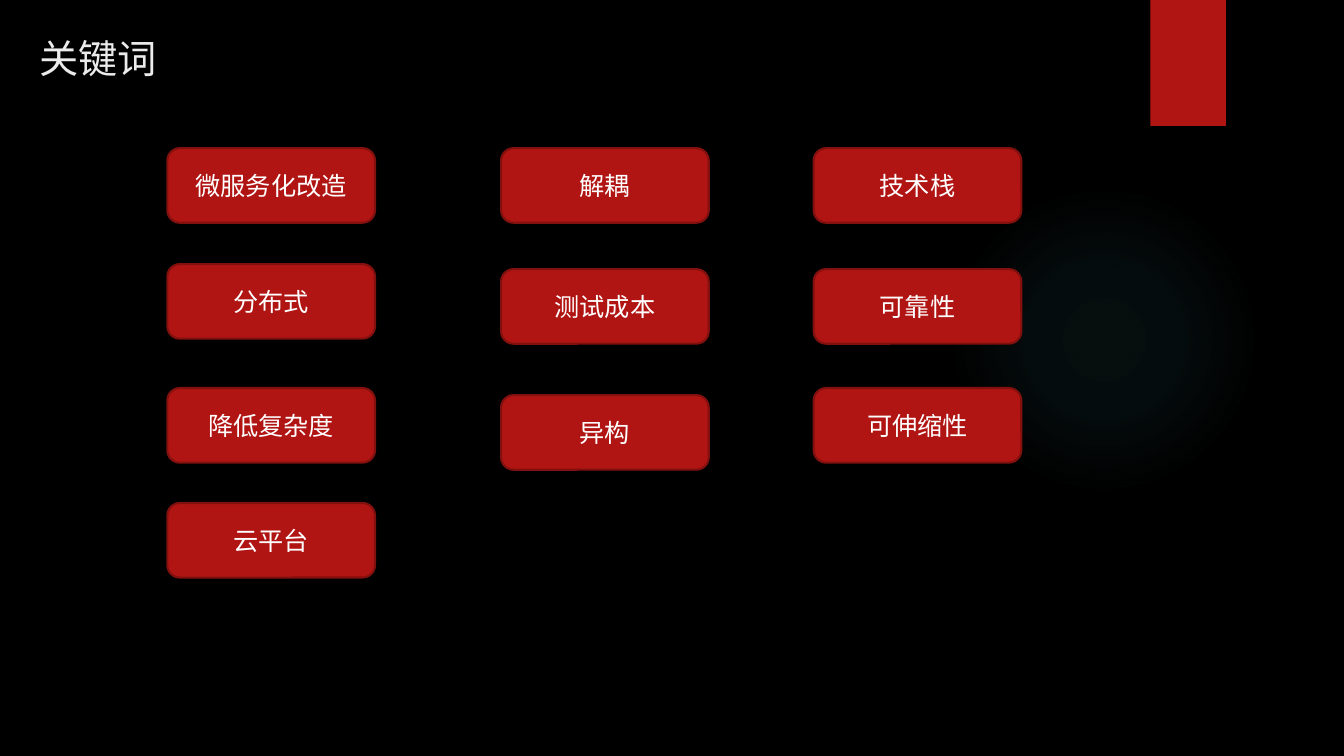
from dataclasses import dataclass

import lxml.etree
import pptx
import pptx.dml.color
import pptx.enum.shapes
import pptx.enum.text
import pptx.oxml.ns
import pptx.util

PX = 9144
SHAPE = pptx.enum.shapes.MSO_SHAPE
ANCHOR = pptx.enum.text.MSO_ANCHOR
ALIGN = pptx.enum.text.PP_ALIGN
qn = pptx.oxml.ns.qn


@dataclass(frozen=True)
class Theme:
    background: str = "000000"
    red: str = "B01513"
    outline: str = "82100E"
    glow: str = "50B9C1"
    heading: str = "EBEBEB"
    white: str = "FFFFFF"
    font: str = "League Spartan"
    heading_size: int = 28
    keyword_size: int = 18
    outline_width: float = 1.5


THEME = Theme()
GLOW_STOPS = [(0, 7), (36, 6), (69, 0)]
KEYWORD_WIDTH, KEYWORD_HEIGHT = 206, 74
KEYWORD_COLUMNS = [
    (0, [("微服务化改造", 0), ("分布式", 115), ("降低复杂度", 238), ("云平台", 352)]),
    (331, [("解耦", 0), ("测试成本", 120), ("异构", 245)]),
    (641, [("技术栈", 0), ("可靠性", 120), ("可伸缩性", 238)]),
]


def rgb(color):
    return pptx.dml.color.RGBColor.from_string(color)


def emu(box):
    return [length * PX for length in box]


def add_panel(slide, kind, box, color):
    panel = slide.shapes.add_shape(kind, *emu(box))
    panel.shadow.inherit = False
    panel.fill.solid()
    panel.fill.fore_color.rgb = rgb(color)
    panel.line.fill.background()
    return panel


def write_text(frame, words, size, color, anchor, align):
    frame.word_wrap = True
    frame.vertical_anchor = anchor
    paragraph = frame.paragraphs[0]
    paragraph.alignment = align
    run = paragraph.add_run()
    run.text = words
    run.font.size = pptx.util.Pt(size)
    run.font.color.rgb = rgb(color)
    run.font.name = THEME.font
    east_asian = lxml.etree.SubElement(run.font._element, qn("a:ea"))
    east_asian.set("typeface", THEME.font)


def add_glow(slide, box):
    glow = add_panel(slide, SHAPE.OVAL, box, THEME.glow)
    properties = glow._element.spPr
    gradient = lxml.etree.Element(qn("a:gradFill"), rotWithShape="1")
    stops = lxml.etree.SubElement(gradient, qn("a:gsLst"))
    for position, opacity in GLOW_STOPS:
        stop = lxml.etree.SubElement(stops, qn("a:gs"), pos=str(position * 1000))
        color = lxml.etree.SubElement(stop, qn("a:srgbClr"), val=THEME.glow)
        lxml.etree.SubElement(color, qn("a:alpha"), val=str(opacity * 1000))
    circle = lxml.etree.SubElement(gradient, qn("a:path"), path="circle")
    center = {side: "50000" for side in "ltrb"}
    lxml.etree.SubElement(circle, qn("a:fillToRect"), center)
    properties.replace(properties.find(qn("a:solidFill")), gradient)


def add_backdrop(slide, box):
    left, top, width, height = box
    slide.background.fill.solid()
    slide.background.fill.fore_color.rgb = rgb(THEME.background)
    add_glow(slide, (left + 941, top + 183, 308, 308))
    add_panel(slide, SHAPE.RECTANGLE, (left + 1141, top, 75, 125), THEME.red)


def add_heading(slide, box, words):
    heading = slide.shapes.add_textbox(*emu(box))
    write_text(heading.text_frame, words, THEME.heading_size, THEME.heading,
               ANCHOR.BOTTOM, ALIGN.LEFT)


def add_keyword(slide, box, word):
    keyword = add_panel(slide, SHAPE.ROUNDED_RECTANGLE, box, THEME.red)
    keyword.line.color.rgb = rgb(THEME.outline)
    keyword.line.width = pptx.util.Pt(THEME.outline_width)
    write_text(keyword.text_frame, word, THEME.keyword_size, THEME.white,
               ANCHOR.MIDDLE, ALIGN.CENTER)


def add_keyword_board(slide, box):
    left, top, width, height = box
    for column_offset, keywords in KEYWORD_COLUMNS:
        for word, row_offset in keywords:
            place = (left + column_offset, top + row_offset,
                     KEYWORD_WIDTH, KEYWORD_HEIGHT)
            add_keyword(slide, place, word)


def main():
    deck = pptx.Presentation()
    deck.slide_width, deck.slide_height = emu((1333, 750))
    slide = deck.slides.add_slide(deck.slide_layouts[6])
    add_backdrop(slide, (0, 0, 1333, 750))
    add_heading(slide, (29, 13, 704, 73), "关键词")
    add_keyword_board(slide, (166, 147, 847, 426))
    deck.save("out.pptx")


if __name__ == "__main__":
    main()
